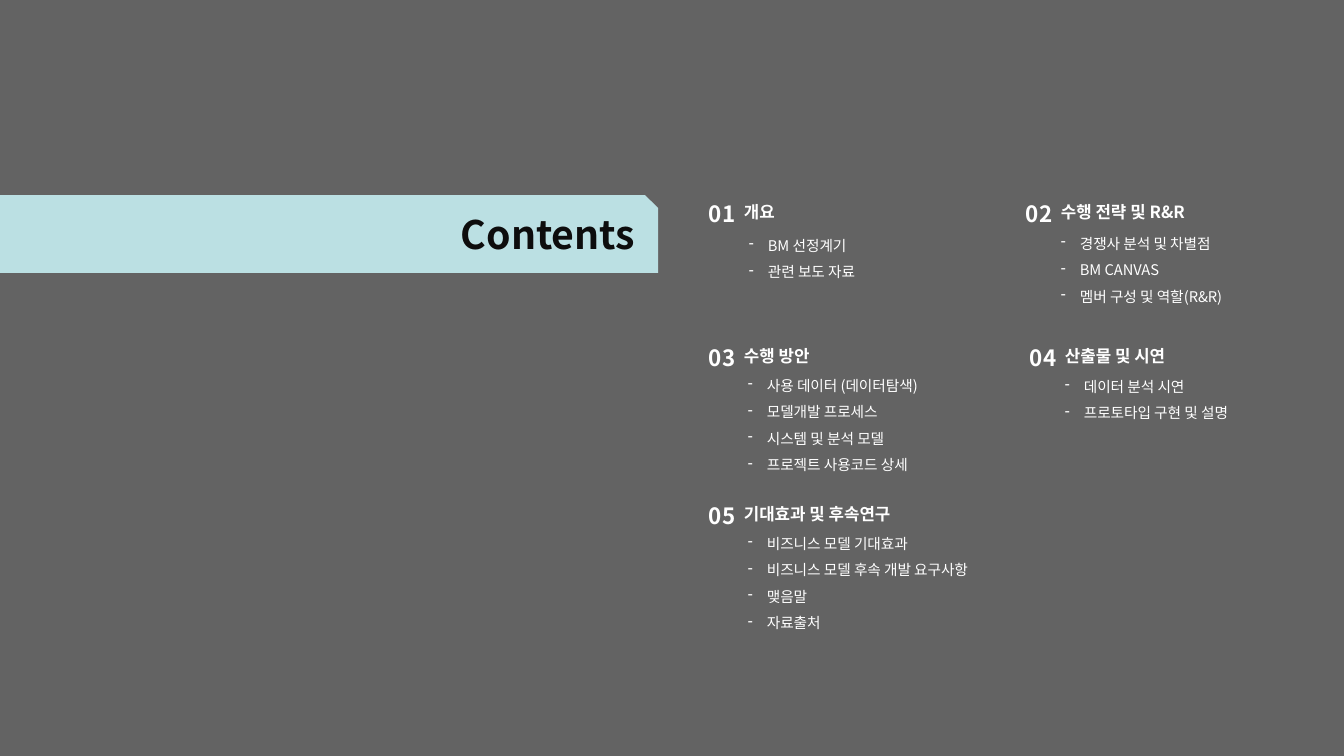
from lxml import etree
from pptx import Presentation
from pptx import util as u
from pptx.dml.color import RGBColor
from pptx.enum import shapes, text
from pptx.oxml import ns

WHITE = RGBColor(0xFF, 0xFF, 0xFF)
BLACK = RGBColor(0, 0, 0)
INK = RGBColor(0x0D, 0x0D, 0x0D)
AQUA = RGBColor(0xBB, 0xE0, 0xE3)
FONT = "Noto Sans CJK KR"
PAGE_W, PAGE_H = 1344, 756
LINE_H = 27

TITLE = {"size": u.Pt(28), "bold": True, "name": FONT}
NUMBER = {"size": u.Pt(16), "bold": True, "name": FONT}
HEADING = {"size": u.Pt(12), "bold": True, "name": FONT}
ITEM = {"size": u.Pt(10.5), "bold": False, "name": FONT}

SECTIONS = [
    ((699, 195), "01", "개요", 54, (40, 28, 144),
     ["BM 선정계기", "관련 보도 자료"]),
    ((1016, 195), "02", "수행 전략 및 R&R", 160, (35, 26, 199),
     ["경쟁사 분석 및 차별점", "BM CANVAS", "멤버 구성 및 역할(R&R)"]),
    ((699, 339), "03", "수행 방안", 94, (39, 24, 213),
     ["사용 데이터 (데이터탐색)", "모델개발 프로세스", "시스템 및 분석 모델",
      "프로젝트 사용코드 상세"]),
    ((1020, 339), "04", "산출물 및 시연", 134, (35, 25, 204),
     ["데이터 분석 시연", "프로토타입 구현 및 설명"]),
    ((699, 497), "05", "기대효과 및 후속연구", 185, (39, 24, 268),
     ["비즈니스 모델 기대효과", "비즈니스 모델 후속 개발 요구사항", "맺음말",
      "자료출처"]),
]


def px(length):
    return round(length * u.Inches(1) / 100.8)


def add_panel(page, kind, bounds, color):
    panel = page.shapes.add_shape(kind, *map(px, bounds))
    panel.shadow.inherit = False
    panel.fill.solid()
    panel.fill.fore_color.rgb = color
    panel.line.fill.background()
    return panel


def add_dash(para):
    props = para._p.get_or_add_pPr()
    props.set("marL", str(px(19)))
    props.set("indent", str(px(-19)))
    etree.SubElement(props, ns.qn("a:buFontTx"))
    etree.SubElement(props, ns.qn("a:buChar"), char="-")


def add_text(page, bounds, lines, style, color=WHITE, wrap=False, dashed=False,
             align=text.PP_ALIGN.LEFT, anchor=text.MSO_ANCHOR.TOP):
    frame = page.shapes.add_textbox(*map(px, bounds)).text_frame
    layout = {"word_wrap": wrap, "vertical_anchor": anchor,
              "auto_size": text.MSO_AUTO_SIZE.SHAPE_TO_FIT_TEXT}
    for key, value in layout.items():
        setattr(frame, key, value)
    for index, line in enumerate(lines):
        para = frame.add_paragraph() if index else frame.paragraphs[0]
        para.alignment = align
        if dashed:
            para.line_spacing = 1.5
            add_dash(para)
        span = para.add_run()
        span.text = line
        for key, value in style.items():
            setattr(span.font, key, value)
        span.font.color.rgb = color
        etree.SubElement(span._r.get_or_add_rPr(), ns.qn("a:ea"), typeface=FONT)


def add_background(page, bounds):
    panel = add_panel(page, shapes.MSO_SHAPE.RECTANGLE, bounds, BLACK)
    tint = panel._element.spPr.find(".//" + ns.qn("a:srgbClr"))
    etree.SubElement(tint, ns.qn("a:alpha"), val="61000")


def add_title(page, bounds):
    left, top, width, height = bounds
    add_panel(page, shapes.MSO_SHAPE.SNIP_1_RECTANGLE, bounds, AQUA)
    add_text(page, (left + width - 209, top + 10, 196, height - 20), ["Contents"],
             TITLE, INK, wrap=True, align=text.PP_ALIGN.RIGHT,
             anchor=text.MSO_ANCHOR.MIDDLE)


def add_section(page, origin, number, heading, heading_w, item_box, items):
    left, top = origin
    inset, drop, item_w = item_box
    add_text(page, (left + inset, top + drop, item_w, 9 + LINE_H * len(items)),
             items, ITEM, dashed=True)
    add_text(page, (left + 35, top + 2, heading_w, 30), [heading], HEADING)
    add_text(page, (left, top, 72, 37), [number], NUMBER, wrap=True)


def main():
    deck = Presentation()
    deck.slide_width, deck.slide_height = px(PAGE_W), px(PAGE_H)
    page = deck.slides.add_slide(deck.slide_layouts[6])
    add_background(page, (0, -1, PAGE_W, PAGE_H + 1))
    add_title(page, (0, 195, 658, 78))
    for section in SECTIONS:
        add_section(page, *section)
    deck.save("out.pptx")


if __name__ == "__main__":
    main()
